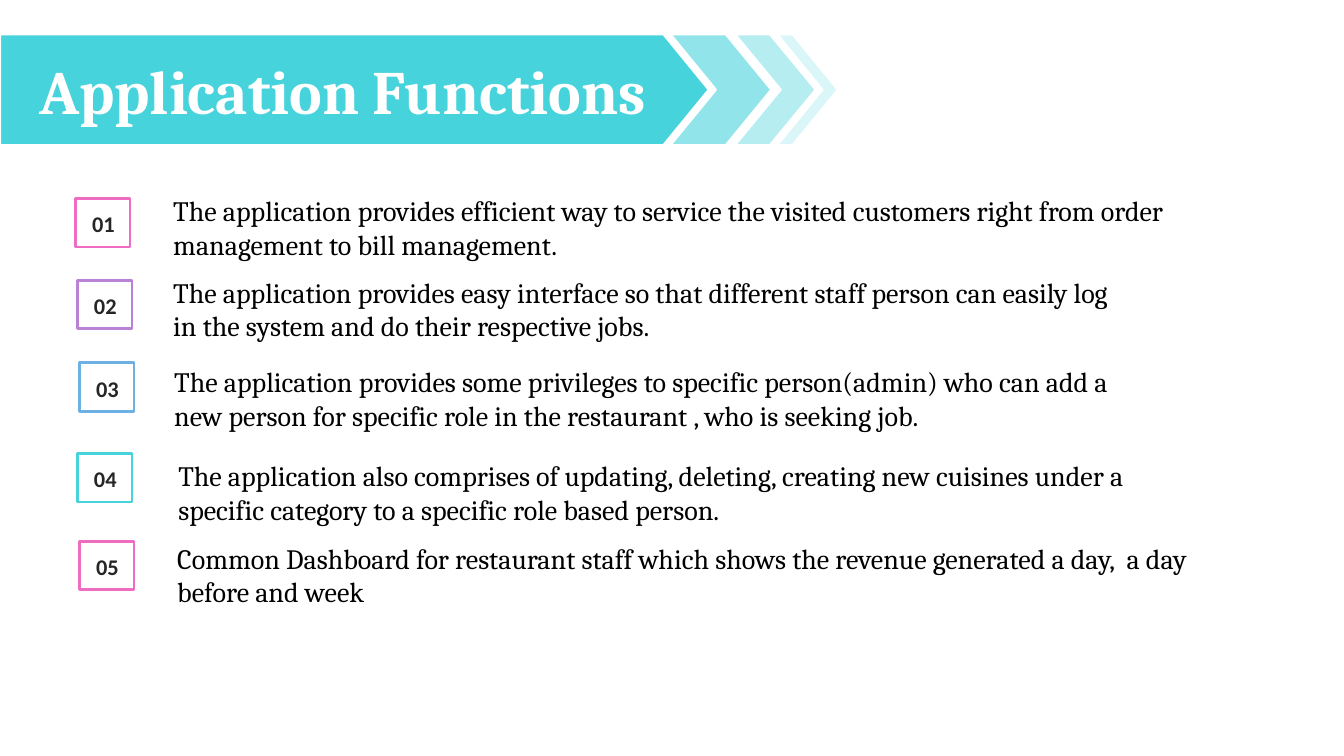
from dataclasses import dataclass

from pptx import Presentation
from pptx import util as u
from pptx.dml.color import RGBColor
from pptx.enum import shapes, text

TITLE = "Application Functions"

# fmt: off
BANNER = [
    ("chevron", 729, 80, 0.567, "B5EDF1", ""),
    ("plate", 0, 703, 0.409, "47D3DC", TITLE),
    ("chevron", 771, 60, 0.747, "DAF6F8", ""),
    ("chevron", 665, 100, 0.451, "91E5EA", ""),
]

FUNCTIONS = [
    ((75, 197), (162, 187), 1086, "EE6CC1",
     "The application provides efficient way to service the visited customers "
     "right from order management to bill management."),
    ((77, 278), (162, 268), 970, "B982D5",
     "The application provides easy interface so that different staff person "
     "can easily log in the system and do their respective jobs."),
    ((79, 360), (163, 357), 970, "6DB0E4",
     "The application provides some privileges to specific person(admin) who can "
     "add a new person for specific role in the restaurant , who is seeking job."),
    ((77, 450), (167, 450), 970, "47D3DC",
     "The application also comprises of updating, deleting, creating new cuisines "
     "under a specific category to a specific role based person."),
    ((79, 537), (166, 532), 1086, "EE6CC1",
     "Common Dashboard for restaurant staff which shows the revenue generated "
     "a day,  a day before and week"),
]
# fmt: on


@dataclass(frozen=True)
class Theme:
    white: str = "FFFFFF"
    ink: str = "000000"
    number: str = "262626"
    serif: str = "Cambria"
    sans: str = "Calibri"
    title_pt: int = 44
    body_pt: int = 20
    number_pt: int = 16
    banner_line_pt: float = 1.5
    frame_line_pt: int = 2


THEME = Theme()
PX = 9144
WIDTH, HEIGHT = 1333, 750
BANNER_TOP, BANNER_H = 34, 110
FRAME_W, FRAME_H = 54, 48
LABEL_DX, LABEL_DY, LABEL_W, LABEL_H = 4, 7, 47, 37
BODY_H = 77
KINDS = {
    "chevron": shapes.MSO_SHAPE.CHEVRON,
    "plate": shapes.MSO_SHAPE.PENTAGON,
    "frame": shapes.MSO_SHAPE.RECTANGLE,
}


def px(*lengths):
    return [u.Emu(n * PX) for n in lengths]


def add_block(s, kind, box, fill, line, line_pt):
    sp = s.shapes.add_shape(KINDS[kind], *px(*box))
    sp.shadow.inherit = False
    sp.fill.solid()
    sp.fill.fore_color.rgb = RGBColor.from_string(fill)
    sp.line.color.rgb = RGBColor.from_string(line)
    sp.line.width = u.Pt(line_pt)
    return sp


def write(tf, words, font, size, color, bold=False, align=text.PP_ALIGN.LEFT):
    p = tf.paragraphs[0]
    p.alignment = align
    r = p.add_run()
    r.text = words
    r.font.name = font
    r.font.size = u.Pt(size)
    r.font.bold = bold
    r.font.color.rgb = RGBColor.from_string(color)


def add_banner(s):
    for kind, left, width, point, fill, words in BANNER:
        box = (left, BANNER_TOP, width, BANNER_H)
        sp = add_block(s, kind, box, fill, THEME.white, THEME.banner_line_pt)
        sp.adjustments[0] = point
        if words:
            tf = sp.text_frame
            tf.vertical_anchor = text.MSO_ANCHOR.MIDDLE
            write(tf, words, THEME.serif, THEME.title_pt, THEME.white,
                  True, text.PP_ALIGN.CENTER)


def add_function(s, number, frame, body, body_w, color, words):
    x, y = frame
    add_block(s, "frame", (x, y, FRAME_W, FRAME_H), THEME.white, color,
              THEME.frame_line_pt)

    label = (x + LABEL_DX, y + LABEL_DY, LABEL_W, LABEL_H)
    tf = s.shapes.add_textbox(*px(*label)).text_frame
    tf.word_wrap = False
    tf.margin_left, tf.margin_right = px(12, 12)
    write(tf, f"{number:02d}", THEME.sans, THEME.number_pt, THEME.number,
          True, text.PP_ALIGN.CENTER)

    tf = s.shapes.add_textbox(*px(*body, body_w, BODY_H)).text_frame
    tf.word_wrap = True
    write(tf, words, THEME.serif, THEME.body_pt, THEME.ink)


def main():
    prs = Presentation()
    prs.slide_width, prs.slide_height = px(WIDTH, HEIGHT)
    s = prs.slides.add_slide(prs.slide_layouts[6])
    add_banner(s)
    for number, row in enumerate(FUNCTIONS, 1):
        add_function(s, number, *row)
    prs.save("out.pptx")


if __name__ == "__main__":
    main()
